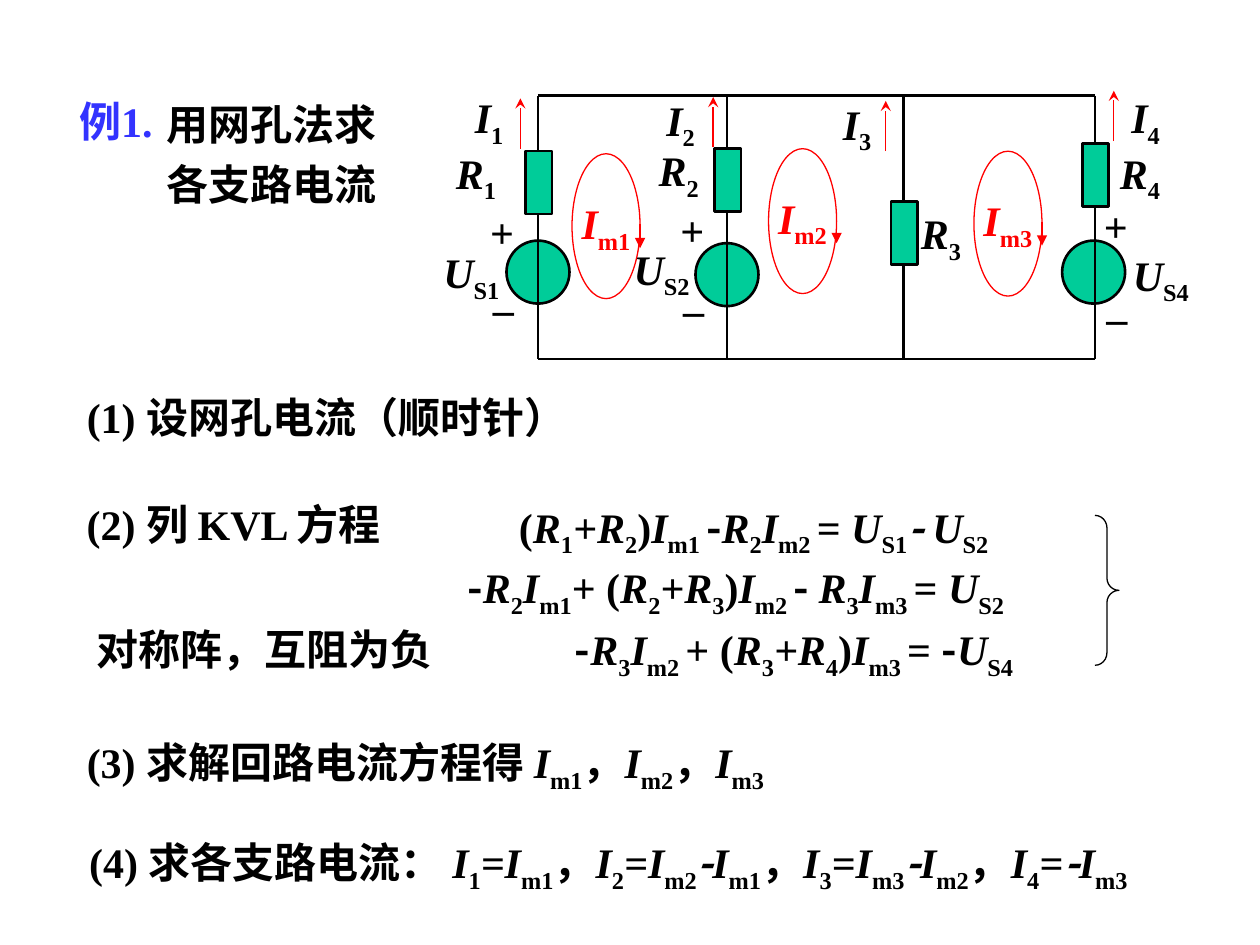
"""Build a slide that solves a four-branch circuit by the mesh current method."""
import dataclasses

import pptx
import pptx.dml.color
import pptx.enum.shapes
import pptx.enum.text
import pptx.oxml
import pptx.oxml.ns
import pptx.util

SCALE = 9144
SHAPE = pptx.enum.shapes.MSO_SHAPE
TOP, BOTTOM = 76, 285
BRANCHES = (427, 577, 717, 869)


@dataclasses.dataclass(frozen=True)
class Theme:
    """Hold the colours, fonts and type sizes of the slide."""
    ink: str = "000000"
    accent: str = "3333FF"
    current: str = "FF0000"
    component: str = "00CC99"
    paper: str = "FFFFFF"
    latin: str = "Times New Roman"
    asian: str = "Noto Sans CJK SC"
    size: int = 24
    thin: float = 0.75
    thick: float = 1.5


THEME = Theme()


def px(value):
    """Turn whole px into EMU."""
    return pptx.util.Emu(value * SCALE)


def rgb(code):
    """Turn a hex code into a colour."""
    return pptx.dml.color.RGBColor.from_string(code)


def write(frame, markup, color=THEME.ink, centred=False):
    """Fill a frame with spans split by |, where * marks italic and ~ a subscript."""
    para = frame.paragraphs[0]
    if centred:
        para.alignment = pptx.enum.text.PP_ALIGN.CENTER
        frame.vertical_anchor = pptx.enum.text.MSO_ANCHOR.MIDDLE
    for piece in markup.split("|"):
        span = para.add_run()
        span.text = piece.lstrip("*~")
        font = span.font
        font.size = pptx.util.Pt(THEME.size)
        font.bold = True
        font.italic = piece.startswith("*")
        font.color.rgb = rgb(color)
        font.name = THEME.asian if span.text.strip() == "-" else THEME.latin
        properties = span._r.get_or_add_rPr()
        if piece.startswith("~"):
            properties.set("baseline", "-25000")
        asian = pptx.oxml.parse_xml(
            f'<a:ea {pptx.oxml.ns.nsdecls("a")} typeface="{THEME.asian}"/>')
        properties.find(pptx.oxml.ns.qn("a:latin")).addnext(asian)
    return para


def add_text(page, place, markup, color=THEME.ink, centred=False):
    """Add a wrapped text box and return its paragraph."""
    box = page.shapes.add_textbox(*map(px, place))
    box.text_frame.word_wrap = True
    return write(box.text_frame, markup, color, centred)


def add_component(page, kind, place, fill, line, weight):
    """Add a preset shape with a plain fill and outline."""
    shape = page.shapes.add_shape(kind, *map(px, place))
    shape.shadow.inherit = False
    if fill:
        shape.fill.solid()
        shape.fill.fore_color.rgb = rgb(fill)
    else:
        shape.fill.background()
    shape.line.color.rgb = rgb(line)
    shape.line.width = pptx.util.Pt(weight)
    return shape


def add_wire(page, start, end, color=THEME.ink, weight=THEME.thick, head=None):
    """Add a straight line, with an arrowhead at its end if one is named."""
    wire = page.shapes.add_connector(
        pptx.enum.shapes.MSO_CONNECTOR.STRAIGHT, *map(px, start + end))
    wire.line.color.rgb = rgb(color)
    wire.line.width = pptx.util.Pt(weight)
    namespace = pptx.oxml.ns.nsdecls("a")
    if head:
        wire.line._get_or_add_ln().append(
            pptx.oxml.parse_xml(f'<a:tailEnd {namespace} type="{head}"/>'))
    wire._element.spPr.append(pptx.oxml.parse_xml(f"<a:effectLst {namespace}/>"))


def add_mesh(page, left, top, number):
    """Add a clockwise mesh current loop with its name."""
    loop = add_component(page, SHAPE.OVAL, (left, top, 54, 115),
                         THEME.paper, THEME.current, THEME.thin)
    loop.text_frame.word_wrap = False
    write(loop.text_frame, f"*I|~m{number}", THEME.current, centred=True)
    right = left + 54
    add_wire(page, (right, top + 56), (right, top + 75),
             THEME.current, THEME.thin, "triangle")


def add_source(page, center, top, signs_left, plus_top, minus_top):
    """Add a voltage source with its polarity signs."""
    add_component(page, SHAPE.OVAL, (center - 25, top, 50, 50),
                  THEME.component, THEME.ink, THEME.thick)
    add_text(page, (signs_left, plus_top, 39, 50), "+", centred=True)
    add_text(page, (signs_left + 2, minus_top, 37, 50), "_", centred=True)


def add_circuit(page):
    """Draw the circuit with its meshes, sources, wires, resistors and labels."""
    for left, top, number in ((454, 122, 1), (773, 120, 3), (610, 118, 2)):
        add_mesh(page, left, top, number)
    first, second, third, fourth = BRANCHES
    add_source(page, first, 191, 379, 159, 208)
    add_source(page, second, 193, 530, 157, 209)
    add_source(page, fourth - 1, 191, 866, 154, 215)
    for level in (TOP, BOTTOM):
        add_wire(page, (first, level), (fourth, level))
    for branch, top in zip(BRANCHES, (120, 118, 160, 114)):
        add_wire(page, (branch, TOP), (branch, BOTTOM))
        add_component(page, SHAPE.RECTANGLE, (branch - 10, top, 21, 50),
                      THEME.component, THEME.ink, THEME.thick)
    for across, tip in ((413, 78), (566, 77), (703, 80), (884, 72)):
        add_wire(page, (across, tip + 40), (across, tip),
                 THEME.current, THEME.thin, "stealth")
    labels = (
        ("I", 58, ((367, 68, "1"), (519, 70, "2"), (659, 73, "3"), (888, 68, "4"))),
        ("R", 67, ((352, 112, "1"), (513, 110, "2"), (721, 160, "3"), (879, 112, "4"))),
        ("U", 76, ((342, 191, "S1"), (493, 188, "S2"))),
        (" U", 83, ((881, 193, "S4"),)),
    )
    for symbol, width, places in labels:
        for left, top, index in places:
            add_text(page, (left, top, width, 56), f"*{symbol}|~{index}")


def add_solution(page):
    """Write the task, the four steps and the braced mesh equations."""
    add_text(page, (53, 71, 100, 50), "例1.", THEME.accent)
    add_text(page, (122, 65, 213, 106), "用网孔法求各支路电流").line_spacing = 1.2
    lines = (
        (59, 306, 488, "(1) 设网孔电流（顺时针）"),
        (59, 391, 284, "(2) 列 KVL 方程"),
        (402, 393, 462, "(|*R|~1|*+R|~2|)|*I|~m1 |-|*R|~2|*I|~m2 |= |*U|~S1|*- |*U|~S2"),
        (361, 441, 509, "-|*R|~2|*I|~m1|+ (|*R|~2|*+R|~3|)|*I|~m2 |- |*R|~3|*I|~m3 |= |*U|~S2"),
        (438, 490, 432, " |-|*R|~3|*I|~m2 |+ (|*R|~3|*+R|~4|)|*I|~m3 |= |-|*U|~S4"),
        (67, 490, 315, "对称阵，互阻为负"),
        (59, 580, 638, "(3) 求解回路电流方程得 |*I|~m1|，|*I|~m2|，|*I|~m3"),
        (61, 659, 911, "(4) 求各支路电流： |*I|~1|*=I|~m1|，|*I|~2|*=I|~m2|*-|*I|~m1|，"
                       "|*I|~3|*=I|~m3|*-|*I|~m2|，|*I|~4|*=|*-|*I|~m3"),
    )
    for left, top, width, markup in lines:
        add_text(page, (left, top, width, 56), markup)
    brace = add_component(page, SHAPE.RIGHT_BRACE, (869, 409, 19, 119),
                          None, THEME.ink, THEME.thin)
    brace.adjustments[0] = 0.52


def main():
    """Build and save the deck."""
    deck = pptx.Presentation()
    deck.slide_width, deck.slide_height = px(1000), px(750)
    page = deck.slides.add_slide(deck.slide_layouts[6])
    add_solution(page)
    add_circuit(page)
    deck.save("out.pptx")


if __name__ == "__main__":
    main()
